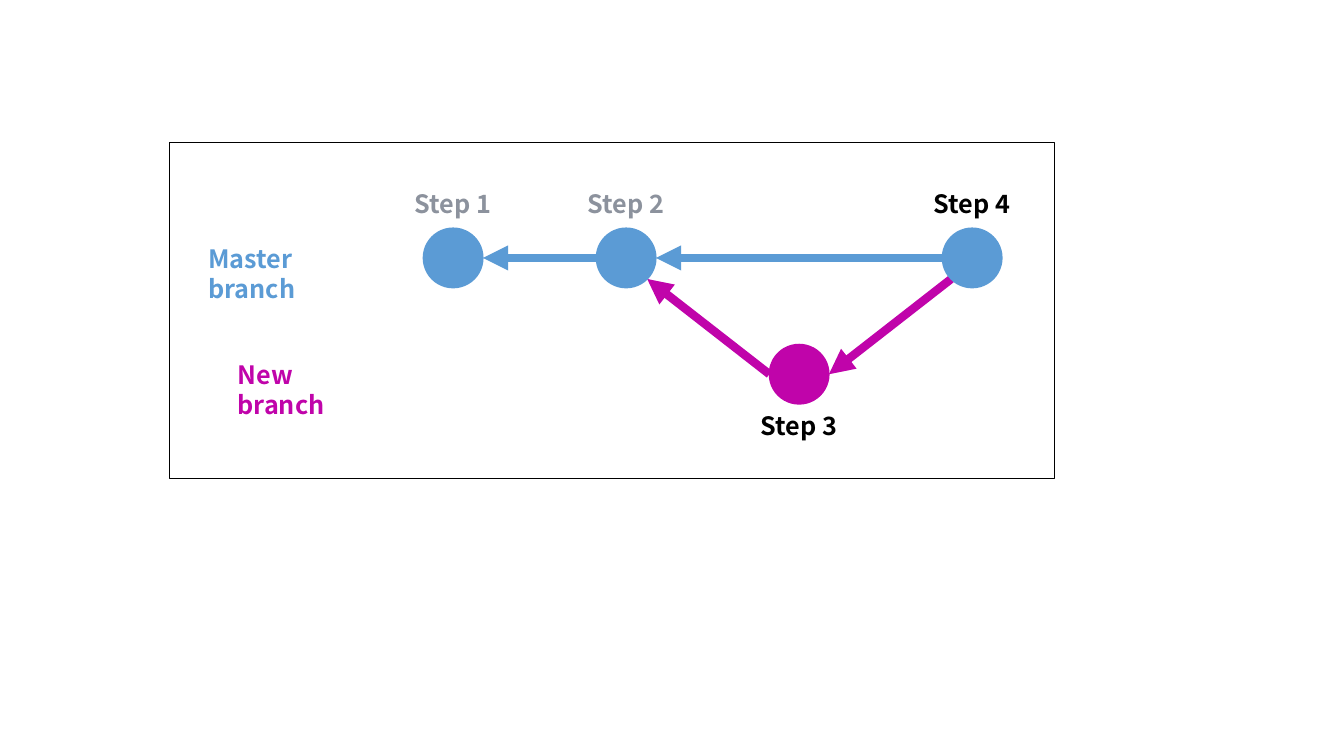
from math import sqrt

from pptx import Presentation
from pptx.dml.color import RGBColor
from pptx.enum.shapes import MSO_CONNECTOR as Link, MSO_SHAPE as Preset
from pptx.enum.text import PP_ALIGN as Align
from pptx.oxml.ns import qn
from pptx.util import Cm, Pt
from lxml.etree import SubElement

THEME = {
    "master": RGBColor(0x5B, 0x9B, 0xD5),
    "new": RGBColor(0xC0, 0x04, 0xAA),
    "past": RGBColor(0x8C, 0x92, 0x9D),
    "ink": RGBColor(0, 0, 0),
    "font": "Noto Sans CJK KR",
    "size": Pt(18),
    "frame_line": Pt(0.25),
    "dot_line": Pt(1),
    "arrow_line": Pt(6),
}

deck = Presentation()
deck.slide_width, deck.slide_height = Cm(33.87), Cm(19.05)
page = deck.slides.add_slide(deck.slide_layouts[6])


def add_label(text, left, top, width, color, align, wrap=False, right=0.25):
    """Add a bold label in the given theme colour."""
    box = page.shapes.add_textbox(Cm(left), Cm(top), Cm(width), Cm(1.03))
    frame = box.text_frame
    frame.word_wrap, frame.margin_right = wrap, Cm(right)
    para = frame.paragraphs[0]
    para.alignment = align
    span = para.add_run()
    span.text = text
    formats = {"name": THEME["font"], "size": THEME["size"], "bold": True}
    for name, value in formats.items():
        setattr(span.font, name, value)
    span.font.color.rgb = THEME[color]


def add_shape(preset, left, top, width, height, line, weight, fill=None):
    """Add an outlined preset shape, filled when a fill is named."""
    shape = page.shapes.add_shape(preset, Cm(left), Cm(top), Cm(width), Cm(height))
    shape.shadow.inherit = False
    shape.line.color.rgb, shape.line.width = THEME[line], THEME[weight]
    if fill:
        shape.fill.solid()
        shape.fill.fore_color.rgb = THEME[fill]
    else:
        shape.fill.background()


add_shape(Preset.RECTANGLE, 4.27, 3.58, 22.3, 8.48, "ink", "frame_line")

# Branch names, kept narrow by the right margin so that they take two lines
for name, left, top, width, color in [
    ("Master branch", 5, 6, 4.95, "master"),
    ("New branch", 5.74, 8.92, 4.22, "new"),
]:
    add_label(name, left, top, width, color, Align.LEFT, wrap=True, right=1.5)

# Steps at an equal pitch, on one row for each branch
RADIUS, FIRST_X, PITCH = 0.75, 11.42, 4.36
ROW = {"master": 6.5, "new": 9.43}
LABEL_SHIFT = {"master": -1.88, "new": 0.78}
LABEL_WIDTH = 2.44
steps = [("master", "past"), ("master", "past"), ("new", "ink"), ("master", "ink")]
centers = [(FIRST_X + i * PITCH, ROW[branch]) for i, (branch, _) in enumerate(steps)]

# Each arrow: from step, to step, and the side of the circle it touches
diagonal = RADIUS / sqrt(2)
SIDE = {
    "left": (-RADIUS, 0),
    "right": (RADIUS, 0),
    "lower left": (-diagonal, diagonal),
    "lower right": (diagonal, diagonal),
}
for start, start_side, end, end_side, color in [
    (2, "left", 1, "right", "master"),
    (4, "left", 2, "right", "master"),
    (3, "left", 2, "lower right", "new"),
    (4, "lower left", 3, "right", "new"),
]:
    points = [
        Cm(center + shift)
        for step, side in [(start, start_side), (end, end_side)]
        for center, shift in zip(centers[step - 1], SIDE[side])
    ]
    arrow = page.shapes.add_connector(Link.STRAIGHT, *points)
    arrow.line.color.rgb, arrow.line.width = THEME[color], THEME["arrow_line"]
    SubElement(arrow.line._get_or_add_ln(), qn("a:tailEnd"), type="triangle")
    SubElement(arrow._element.spPr, qn("a:effectLst"))

for number, ((x, y), (branch, color)) in enumerate(zip(centers, steps), 1):
    add_shape(Preset.OVAL, x - RADIUS, y - RADIUS, 2 * RADIUS, 2 * RADIUS,
              branch, "dot_line", branch)
    add_label(f"Step {number}", x - LABEL_WIDTH / 2, y + LABEL_SHIFT[branch],
              LABEL_WIDTH, color, Align.CENTER)

deck.save("out.pptx")
